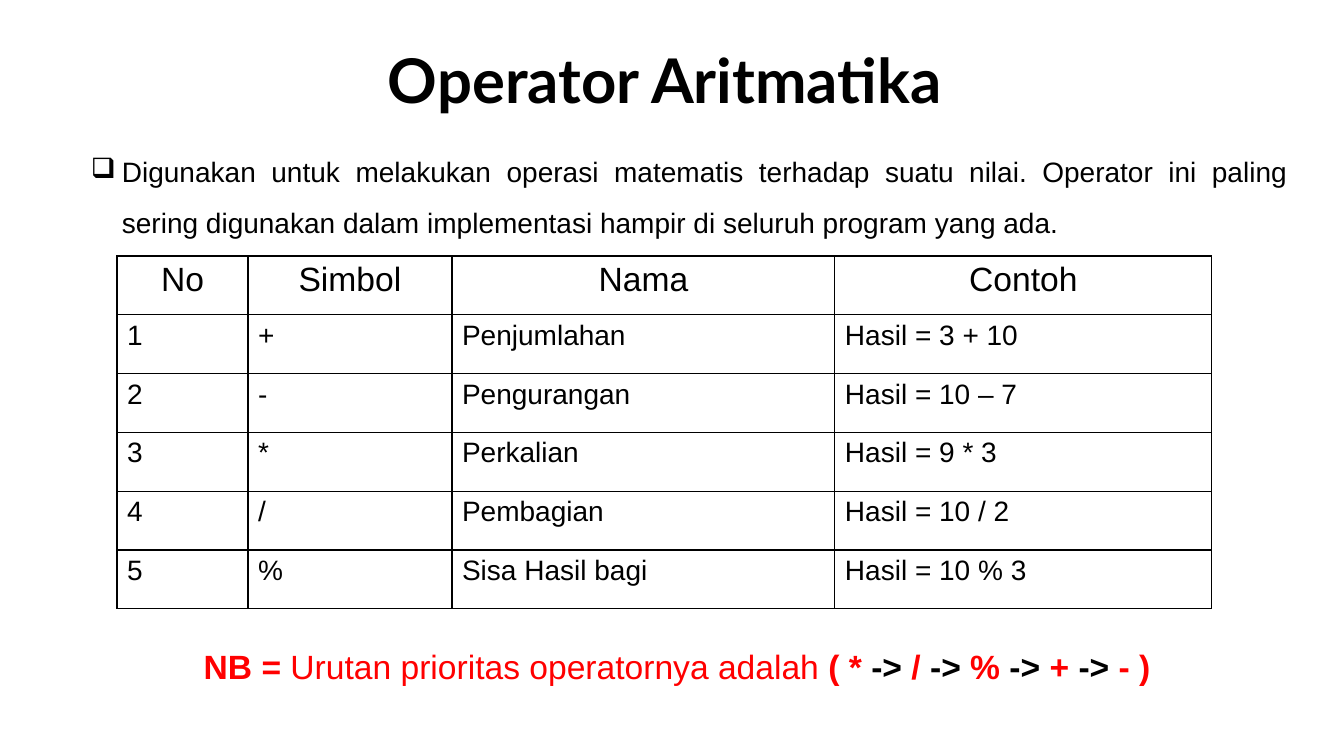
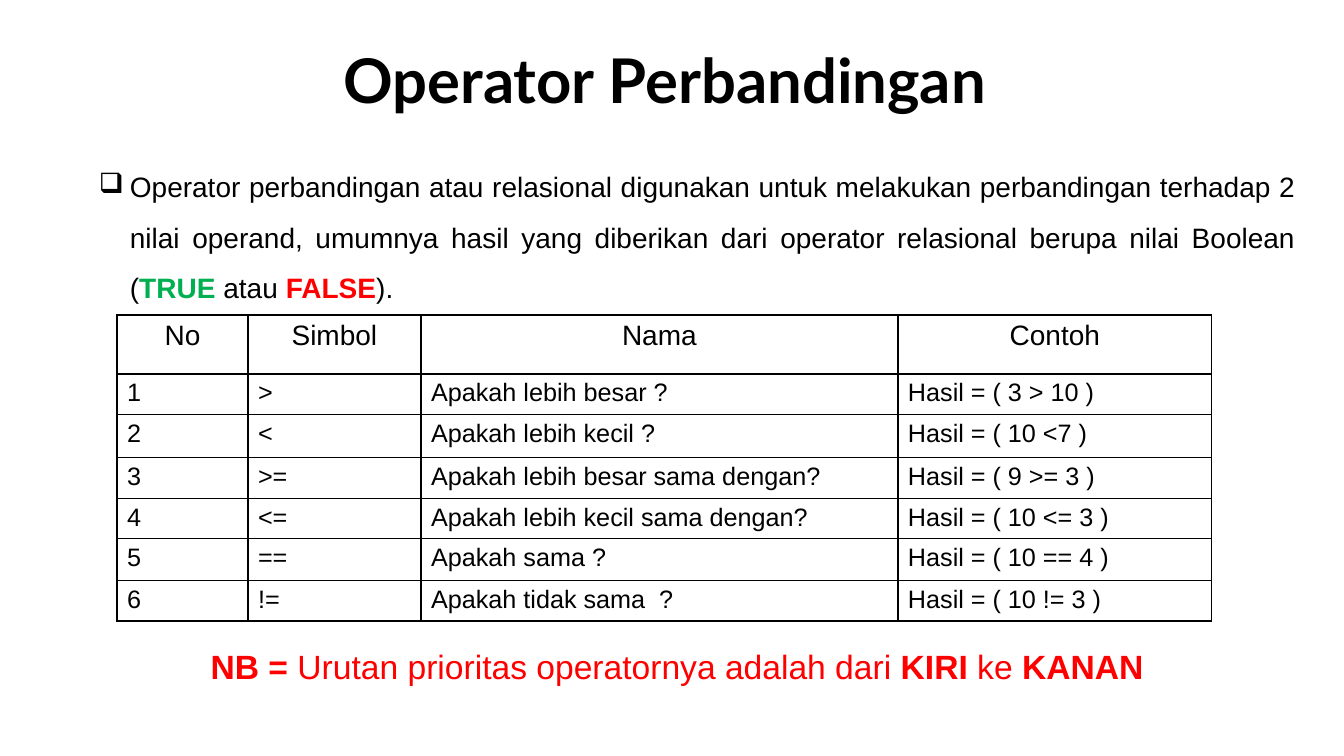
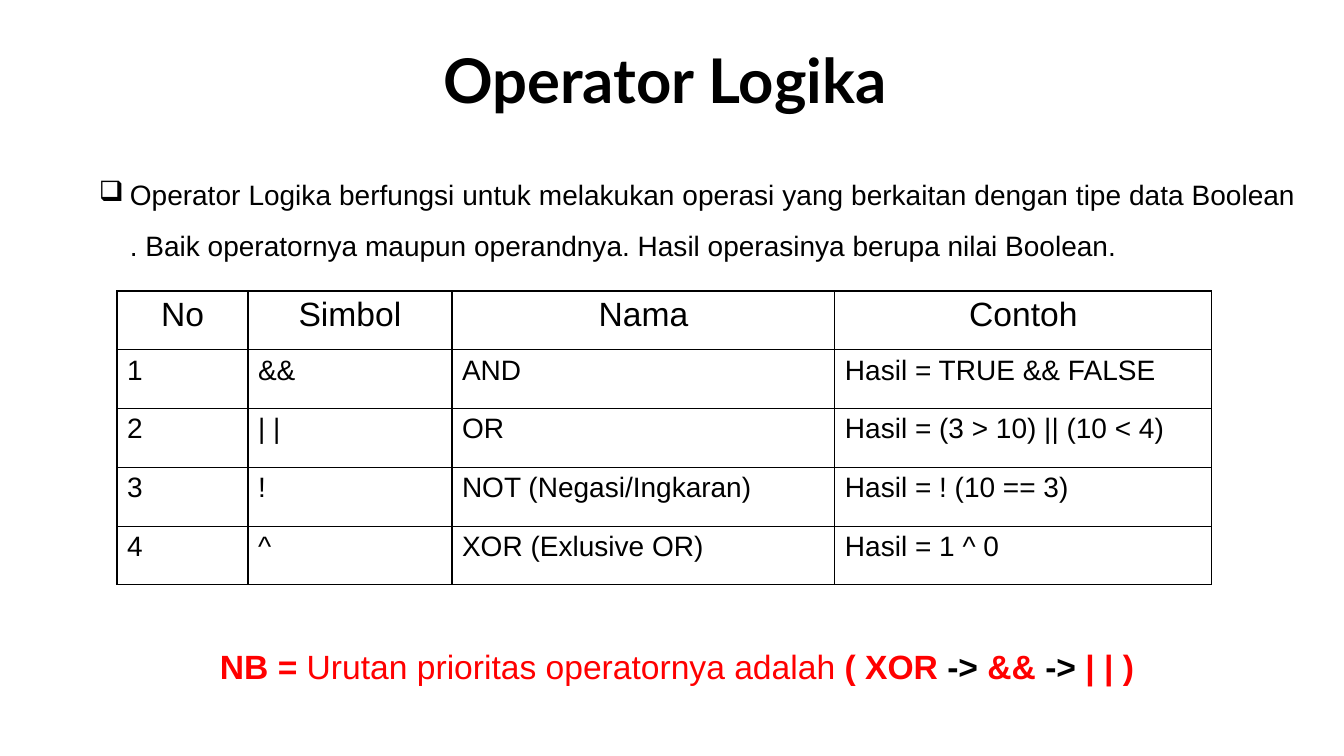
from lxml import etree
from pptx import Presentation
from pptx.dml.color import RGBColor
from pptx.enum.text import MSO_ANCHOR, PP_ALIGN
from pptx.oxml.ns import qn
from pptx.util import Pt

CENTER, JUSTIFY, LEFT = PP_ALIGN.CENTER, PP_ALIGN.JUSTIFY, PP_ALIGN.LEFT
TOP, MIDDLE = MSO_ANCHOR.TOP, MSO_ANCHOR.MIDDLE

BLACK, RED, GREEN = "000000", "FF0000", "00B050"
BODY_FONT, TITLE_FONT = "Arial", "Lato"
EMU_PER_PX = 914400 / 100.8
BLANK_LAYOUT = 6
TITLE_BOX = (110, 43, 1110, 81)
INTRO_WIDTH = 1268
NOTE_BOX = (18, 621, 1268, 72)
TABLE_LEFT, TABLE_TOP_LINE = 117, 1
HEADER = ("No", "Simbol", "Nama", "Contoh")
WIDE_COLUMNS = (131, 204, 383, 377)
ARROW = ("->", BLACK, True)

SLIDES = [
    {
        "title": "Operator Aritmatika",
        "intro_box": (30, 133, INTRO_WIDTH, 112),
        "intro": [("Digunakan untuk melakukan operasi matematis terhadap suatu nilai. "
                   "Operator ini paling sering digunakan dalam implementasi hampir di "
                   "seluruh program yang ada.", BLACK, False)],
        "table_top": 256,
        "columns": WIDE_COLUMNS,
        "row_heights": [353 / 6] * 6,
        "sizes": (24, 20),
        "rows": [
            ("+", "Penjumlahan", "Hasil = 3 + 10"),
            ("-", "Pengurangan", "Hasil = 10 – 7"),
            ("*", "Perkalian", "Hasil = 9 * 3"),
            ("/", "Pembagian", "Hasil = 10 / 2"),
            ("%", "Sisa Hasil bagi", "Hasil = 10 % 3"),
        ],
        "note": [("Urutan prioritas operatornya adalah ", RED, False),
                 ("( * ", RED, True), ARROW, (" / ", RED, True), ARROW,
                 (" % ", RED, True), ARROW, (" + ", RED, True), ARROW,
                 (" - )", RED, True)],
    },
    {
        "title": "Operator Perbandingan",
        "intro_box": (38, 148, INTRO_WIDTH, 163),
        "intro": [("Operator perbandingan atau relasional digunakan untuk melakukan "
                   "perbandingan terhadap 2 nilai operand, umumnya hasil yang diberikan "
                   "dari operator relasional berupa nilai Boolean (", BLACK, False),
                  ("TRUE ", GREEN, True), ("atau ", BLACK, False),
                  ("FALSE", RED, True), (").", BLACK, False)],
        "table_top": 315,
        "columns": (131, 173, 477, 314),
        "row_heights": [59, 40, 43, 41, 40, 42, 39],
        "sizes": (20, 18),
        "rows": [
            (">", "Apakah lebih besar ?", "Hasil = ( 3 > 10 )"),
            ("<", "Apakah lebih kecil ?", "Hasil = ( 10 <7 )"),
            (">=", "Apakah lebih besar sama dengan?", "Hasil = ( 9 >= 3 )"),
            ("<=", "Apakah lebih kecil sama dengan?", "Hasil = ( 10 <= 3 )"),
            ("==", "Apakah sama ?", "Hasil = ( 10 == 4 )"),
            ("!=", "Apakah tidak sama  ?", "Hasil = ( 10 != 3 )"),
        ],
        "note": [("Urutan prioritas operatornya adalah dari ", RED, False),
                 ("KIRI", RED, True), (" ke ", RED, False), ("KANAN", RED, True)],
    },
    {
        "title": "Operator Logika",
        "intro_box": (38, 156, INTRO_WIDTH, 112),
        "intro": [("Operator Logika berfungsi untuk melakukan operasi yang berkaitan "
                   "dengan tipe data Boolean . Baik operatornya maupun operandnya. "
                   "Hasil operasinya berupa nilai Boolean.", BLACK, False)],
        "table_top": 291,
        "columns": WIDE_COLUMNS,
        "row_heights": [294 / 5] * 5,
        "sizes": (24, 20),
        "rows": [
            ("&&", "AND", "Hasil = TRUE && FALSE"),
            ("| |", "OR", "Hasil = (3 > 10) || (10 < 4)"),
            ("!", "NOT (Negasi/Ingkaran)", "Hasil = ! (10 == 3)"),
            ("^", "XOR (Exlusive OR)", "Hasil = 1 ^ 0"),
        ],
        "note": [("Urutan prioritas operatornya adalah ", RED, False),
                 ("( XOR ", RED, True), ARROW, (" && ", RED, True), ARROW,
                 (" | | )", RED, True)],
    },
]


def px(length):
    return round(length * EMU_PER_PX)


def color(value):
    return RGBColor.from_string(value)


def write_text(frame, spans, size, font=BODY_FONT, align=LEFT, spacing=None,
               margin=0, indent=0, bullet=None):
    para = frame.paragraphs[0]
    para.alignment = align
    if spacing:
        para.line_spacing = spacing
    properties = para._p.get_or_add_pPr()
    properties.set("marL", str(px(margin)))
    properties.set("indent", str(px(indent)))
    if bullet:
        bullet_color = etree.SubElement(properties, qn("a:buClr"))
        etree.SubElement(bullet_color, qn("a:srgbClr"), val=BLACK)
        etree.SubElement(properties, qn("a:buChar"), char=bullet)
    for text, value, bold in spans:
        span = para.add_run()
        span.text = text
        span.font.name = font
        span.font.size = Pt(size)
        span.font.bold = bold
        span.font.color.rgb = color(value)


def add_text(page, place, spans, size, anchor=TOP, **layout):
    box = page.shapes.add_textbox(*map(px, place))
    box.text_frame.word_wrap = True
    box.text_frame.vertical_anchor = anchor
    write_text(box.text_frame, spans, size, **layout)


def outline(cell):
    properties = cell._tc.get_or_add_tcPr()
    for side in ("lnL", "lnR", "lnT", "lnB"):
        line = etree.SubElement(properties, qn(f"a:{side}"), w=str(Pt(1)))
        fill = etree.SubElement(line, qn("a:solidFill"))
        etree.SubElement(fill, qn("a:srgbClr"), val=BLACK)


def add_operator_table(page, content):
    rows = [HEADER] + [(str(number), *row)
                       for number, row in enumerate(content["rows"], 1)]
    columns, heights = content["columns"], content["row_heights"]
    place = (TABLE_LEFT, content["table_top"], sum(columns), sum(heights))
    table = page.shapes.add_table(len(rows), len(columns), *map(px, place)).table
    table.first_row = table.horz_banding = False
    for column, width in zip(table.columns, columns):
        column.width = px(width)
    header_size, body_size = content["sizes"]
    for row_index, (row, height) in enumerate(zip(rows, heights)):
        table.rows[row_index].height = px(height)
        size, align = (body_size, LEFT) if row_index else (header_size, CENTER)
        for column_index, text in enumerate(row):
            cell = table.cell(row_index, column_index)
            outline(cell)
            cell.fill.background()
            write_text(cell.text_frame, [(text, BLACK, False)], size, align=align)


def add_page(deck, content):
    page = deck.slides.add_slide(deck.slide_layouts[BLANK_LAYOUT])
    add_text(page, TITLE_BOX, [(content["title"], BLACK, True)], 44,
             anchor=MIDDLE, font=TITLE_FONT, align=CENTER, spacing=0.9)
    add_text(page, content["intro_box"], content["intro"], 20, align=JUSTIFY,
             spacing=1.5, margin=82, indent=-31, bullet="❑")
    add_operator_table(page, content)
    add_text(page, NOTE_BOX, [("NB = ", RED, True)] + content["note"], 24,
             align=CENTER, spacing=1.5, margin=50)


def main():
    deck = Presentation()
    deck.slide_width, deck.slide_height = px(1344), px(756)
    for content in SLIDES:
        add_page(deck, content)
    deck.save("out.pptx")


if __name__ == "__main__":
    main()
